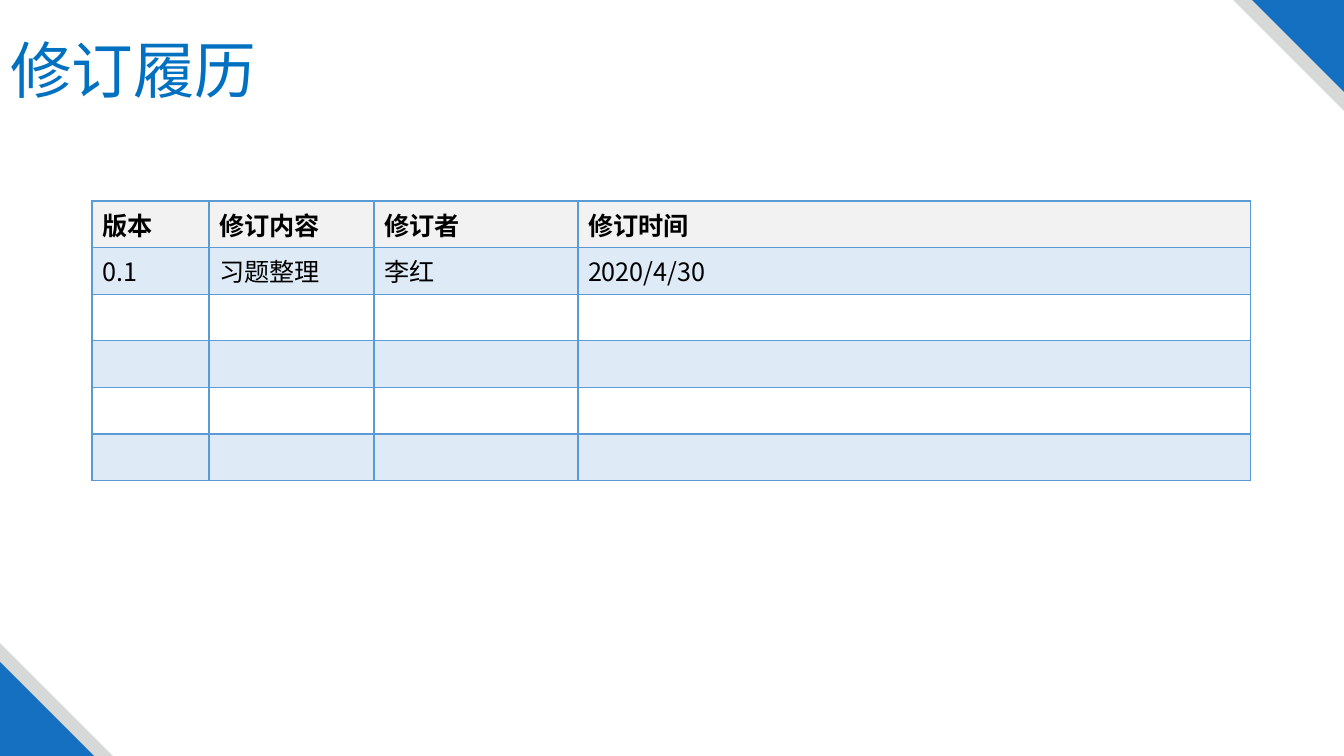
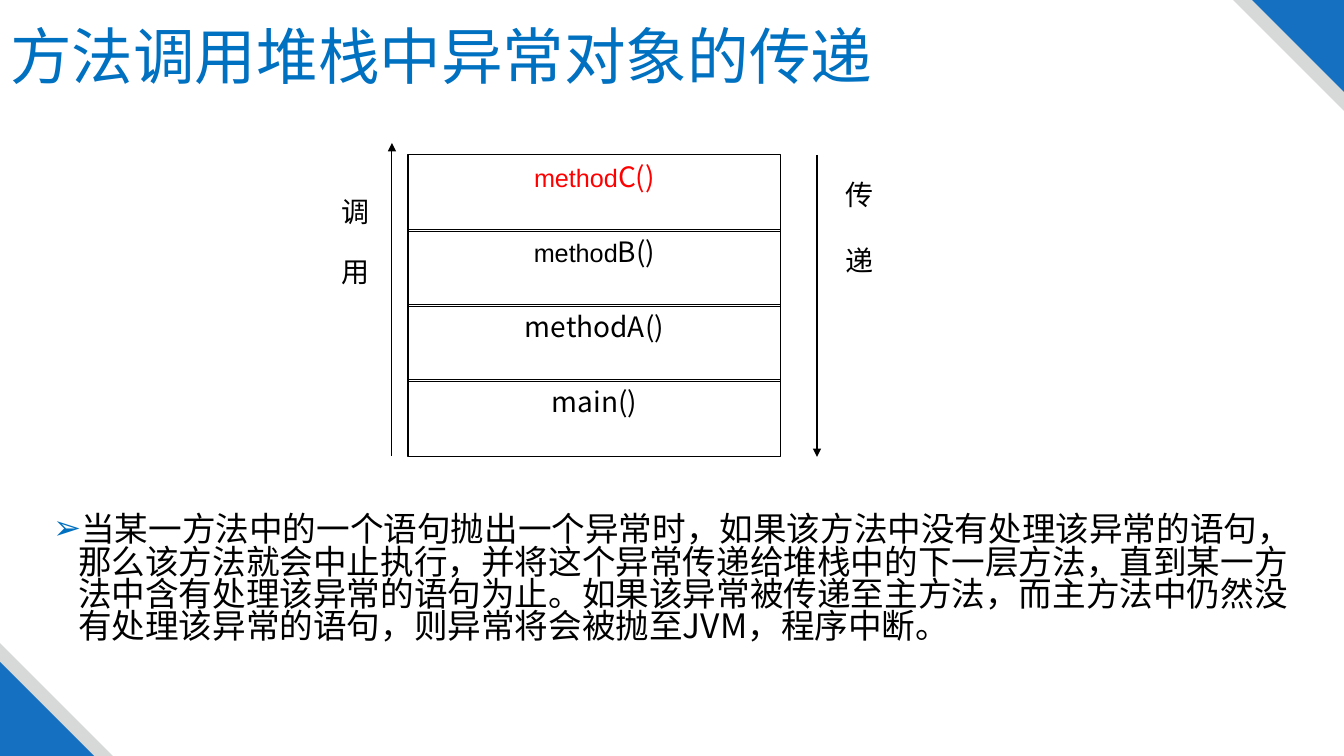
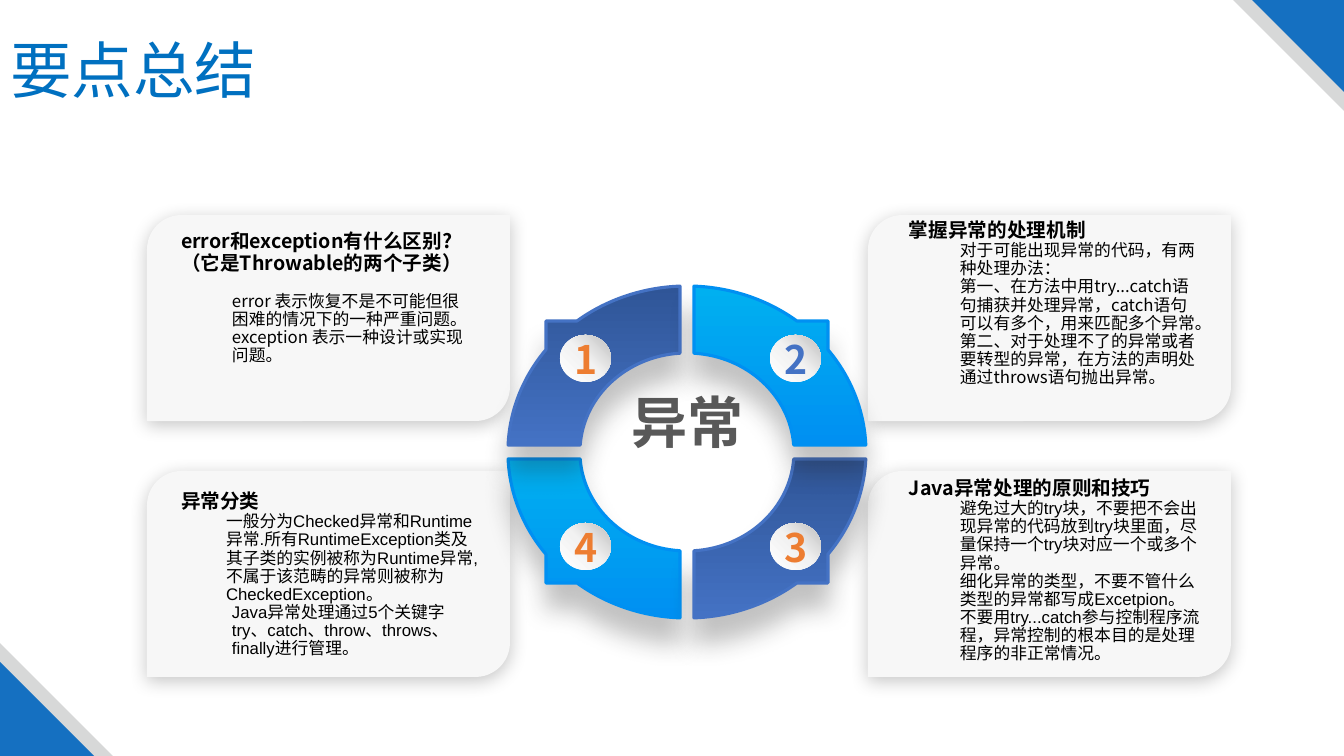
import math
from dataclasses import dataclass

from lxml import etree
from pptx import Presentation, util as u
from pptx.dml.color import RGBColor
from pptx.enum import shapes, text
from pptx.oxml.ns import qn

SLIDE_WIDTH, SLIDE_HEIGHT = 1344, 756
EMU_PER_PX = 12192000 / SLIDE_WIDTH
CJK, LATIN = "Noto Sans CJK SC", "Arial"
COLORS = {
    "title": "0070C0", "corner": "1570C1", "corner_edge": "D7D8D8",
    "black": "000000", "red": "FF0000", "white": "FFFFFF",
    "grid": "5B9BD5", "header": "F2F2F2", "band": "DEEBF7",
    "card": "F7F7F7", "hub": "595959", "shade": "262626",
    "orange": "ED7D31", "blue": "4472C4", "navy": "2F5597",
    "sky": "00B0F0", "azure": "0090F2", "pale": "F2F2F2", "silver": "BFBFBF",
}


@dataclass(frozen=True)
class Box:
    left: int
    top: int
    width: int
    height: int

    def emu(self) -> tuple:
        return tuple(px(v) for v in (self.left, self.top, self.width, self.height))


@dataclass(frozen=True)
class Span:
    words: str
    size: int = 20
    font: str = CJK


@dataclass(frozen=True)
class Frame:
    spans: tuple
    color: str = "black"


@dataclass(frozen=True)
class Card:
    column: int
    row: int
    text_top: int
    text_height: int
    heading: str
    points: tuple
    font: str = CJK
    first_indent: int = 51
    gap: int = 0


@dataclass(frozen=True)
class Segment:
    number: str
    side: int
    level: int
    start: str
    end: str
    number_color: str = "orange"


@dataclass(frozen=True)
class Arc:
    """Part of an ellipse around the origin, between two angles in radians."""
    radius_x: int
    radius_y: int
    start: float
    end: float

    def point(self, angle: float) -> tuple:
        return self.radius_x * math.cos(angle), self.radius_y * math.sin(angle)

    def handle(self, angle: float, sign: int) -> tuple:
        """Control point of the cubic curve beside the given end."""
        reach = sign * 4 / 3 * math.tan((self.end - self.start) / 4)
        x, y = self.point(angle)
        return (x - reach * self.radius_x * math.sin(angle),
                y + reach * self.radius_y * math.cos(angle))

    def curve(self) -> tuple:
        return self.handle(self.start, 1), self.handle(self.end, -1), self.point(self.end)


def px(value: float) -> u.Emu:
    return u.Emu(round(value * EMU_PER_PX))


def rgb(name: str) -> RGBColor:
    return RGBColor.from_string(COLORS[name])


def node(parent, tag: str, **attributes):
    return etree.SubElement(parent, qn(tag), attributes)


def color_node(parent, name: str):
    return node(parent, "a:srgbClr", val=COLORS[name])


def first(shape, tag: str):
    return next(shape.element.iter(qn(tag)))


def style(font, size: int, color: str = "black", bold: bool = False, name: str = CJK) -> None:
    font.size, font.bold, font.name = u.Pt(size), bold, name
    font.color.rgb = rgb(color)


def set_insets(frame, side: int, end: int) -> None:
    frame.margin_left = frame.margin_right = px(side)
    frame.margin_top = frame.margin_bottom = px(end)


def place(shape, box: Box) -> None:
    shape.left, shape.top, shape.width, shape.height = box.emu()


def add_preset(slide, preset, box: Box, fill: str = ""):
    shape = slide.shapes.add_shape(preset, *box.emu())
    shape.shadow.inherit = False
    shape.line.fill.background()
    if fill:
        shape.fill.solid()
        shape.fill.fore_color.rgb = rgb(fill)
    else:
        shape.fill.background()
    return shape


def add_text(slide, box: Box, side: int = 0, end: int = 0):
    shape = slide.shapes.add_textbox(*box.emu())
    shape.text_frame.word_wrap = True
    set_insets(shape.text_frame, side, end)
    return shape


def add_label(slide, box: Box, words: str, size: int, color: str) -> None:
    para = add_text(slide, box).text_frame.paragraphs[0]
    para.text, para.alignment = words, text.PP_ALIGN.CENTER
    style(para.font, size, color, True)


def set_shadow(shape, color: str, opacity: int, blur: int, distance: int) -> None:
    """Cast a shadow straight down; opacity in percent, lengths in points."""
    shape.shadow.inherit = False
    shadow = node(first(shape, "a:effectLst"), "a:outerShdw", blurRad=str(u.Pt(blur)),
                  dist=str(u.Pt(distance)), dir="5400000", algn="t", rotWithShape="0")
    node(color_node(shadow, color), "a:alpha", val=str(opacity * 1000))


def set_gradient(shape, stops: tuple, angle: int) -> None:
    shape.fill.gradient()
    stop_list = first(shape, "a:gsLst")
    for old in list(stop_list):
        stop_list.remove(old)
    for position, color in stops:
        color_node(node(stop_list, "a:gs", pos=str(position * 1000)), color)
    first(shape, "a:lin").set("ang", str(angle * 60000))


def add_arrow(slide, x: int, start: int, end: int) -> None:
    line = slide.shapes.add_connector(shapes.MSO_CONNECTOR.STRAIGHT,
                                      px(x), px(start), px(x), px(end))
    line.line.color.rgb, line.line.width = rgb("black"), u.Pt(0.75)
    node(first(line, "a:ln"), "a:tailEnd", type="triangle")
    node(first(line, "p:spPr"), "a:effectLst")


def add_corners(deck, slide) -> None:
    """Draw the corner triangles and hand them to the slide master."""
    corners = (("corner_edge", 111, 113), ("corner", 92, 94))
    for index, (color, top_size, bottom_size) in enumerate(corners):
        upper = Box(SLIDE_WIDTH - top_size, 0, top_size, top_size)
        lower = Box(0, SLIDE_HEIGHT - bottom_size, bottom_size, bottom_size)
        for turn, box in enumerate((lower, upper)):
            shape = add_preset(slide, shapes.MSO_SHAPE.RIGHT_TRIANGLE, box, color)
            shape.rotation = 180 * turn
            first(shape, "p:cNvPr").set("id", str(100 + 2 * index + turn))
            deck.slide_master.shapes.element.append(shape.element)


def add_slide(deck, layout: int, title: str, box: Box = Box(0, 0, 1159, 148)):
    slide = deck.slides.add_slide(deck.slide_layouts[layout])
    place(slide.shapes.title, box)
    frame = slide.shapes.title.text_frame
    frame.text, frame.vertical_anchor = title, text.MSO_ANCHOR.MIDDLE
    frame.auto_size = text.MSO_AUTO_SIZE.NONE
    para = frame.paragraphs[0]
    para.alignment, para.line_spacing = text.PP_ALIGN.LEFT, 0.9
    style(para.font, 44, "title")
    return slide


def add_borders(cell) -> None:
    properties = cell._tc.get_or_add_tcPr()
    for side in "LRTB":
        line = node(properties, f"a:ln{side}", w=str(u.Pt(1)))
        color_node(node(line, "a:solidFill"), "grid")


def build_history(deck) -> None:
    slide = add_slide(deck, 5, "修订履历")
    add_corners(deck, slide)
    rows = (("版本", "修订内容", "修订者", "修订时间"),
            ("0.1", "习题整理", "李红", "2020/4/30"))
    widths = (117, 165, 204, 673)
    row_count = 6
    table = slide.shapes.add_table(row_count, len(widths),
                                   *Box(92, 201, sum(widths), 279).emu()).table
    table.first_row = table.horz_banding = False
    for column, width in zip(table.columns, widths):
        column.width = px(width)
    for r in range(row_count):
        fill = "header" if r == 0 else "band" if r % 2 else "white"
        for c in range(len(widths)):
            cell = table.cell(r, c)
            add_borders(cell)
            cell.fill.solid()
            cell.fill.fore_color.rgb = rgb(fill)
            para = cell.text_frame.paragraphs[0]
            if r < len(rows):
                para.text = rows[r][c]
            style(para.font, 18, bold=r == 0)


def add_vertical_word(slide, box: Box, word: str, gap: int) -> None:
    """Write a word downwards with a gap, in points, after each character."""
    shape = add_text(slide, box, 9, 5)
    para = shape.text_frame.paragraphs[0]
    para.text = word
    style(para.font, 20)
    first(shape, "a:bodyPr").set("vert", "eaVert")
    first(shape, "a:defRPr").set("spc", str(gap * 100))


def add_stack_frame(slide, box: Box, frame: Frame) -> None:
    shape = add_preset(slide, shapes.MSO_SHAPE.RECTANGLE, box)
    shape.line.color.rgb, shape.line.width = rgb("black"), u.Pt(0.75)
    set_insets(shape.text_frame, 9, 5)
    shape.text_frame.vertical_anchor = text.MSO_ANCHOR.TOP
    para = shape.text_frame.paragraphs[0]
    para.alignment = text.PP_ALIGN.CENTER
    for span in frame.spans:
        run = para.add_run()
        run.text = span.words
        style(run.font, span.size, frame.color, name=span.font)


def build_stack(deck) -> None:
    slide = add_slide(deck, 1, "方法调用堆栈中异常对象的传递", Box(0, 8, 1003, 103))
    body = slide.placeholders[1]
    place(body, Box(43, 511, 1255, 170))
    body.text_frame.auto_size = text.MSO_AUTO_SIZE.NONE
    para = body.text_frame.paragraphs[0]
    para.text = ("当某一方法中的一个语句抛出一个异常时，如果该方法中没有处理该异常的语句，"
                 "那么该方法就会中止执行，并将这个异常传递给堆栈中的下一层方法，"
                 "直到某一方法中含有处理该异常的语句为止。如果该异常被传递至主方法，"
                 "而主方法中仍然没有处理该异常的语句，则异常将会被抛至JVM，程序中断。")
    para.line_spacing, para.space_before = 0.8, u.Pt(10)
    style(para.font, 24)
    properties = first(body, "a:pPr")
    properties.set("marL", str(px(25)))
    properties.set("indent", str(px(-25)))
    bullet_color = etree.Element(qn("a:buClr"))
    color_node(bullet_color, "title")
    bullet = etree.Element(qn("a:buChar"), {"char": "➢"})
    for item in (bullet_color, bullet):
        first(body, "a:defRPr").addprevious(item)

    method = Span("method", 18, LATIN)
    frames = (Frame((method, Span("C()")), "red"), Frame((method, Span("B()"))),
              Frame((Span("methodA()"),)), Frame((Span("main()"),)))
    for index, frame in reversed(list(enumerate(frames))):
        add_stack_frame(slide, Box(408, 155 + 75 * index, 373, 77), frame)
    add_arrow(slide, 392, 456, 143)
    add_vertical_word(slide, Box(212, 193, 168, 234), "调用", 23)
    add_arrow(slide, 817, 155, 457)
    add_vertical_word(slide, Box(816, 176, 68, 238), "传递", 27)


CARDS = (
    Card(0, 0, 232, 155, "error和exception有什么区别? （它是Throwable的两个子类）",
         ("error 表示恢复不是不可能但很困难的情况下的一种严重问题。",
          "exception 表示一种设计或实现问题。"), gap=13),
    Card(1, 0, 221, 187, "掌握异常的处理机制",
         ("对于可能出现异常的代码，有两种处理办法：",
          "第一、在方法中用try...catch语句捕获并处理异常，catch语句可以有多个，用来匹配多个异常。",
          "第二、对于处理不了的异常或者要转型的异常，在方法的声明处通过throws语句抛出异常。")),
    Card(0, 1, 492, 168, "异常分类",
         ("一般分为Checked异常和Runtime异常.所有RuntimeException类及其子类的实例"
          "被称为Runtime异常,不属于该范畴的异常则被称为CheckedException。",
          "Java异常处理通过5个关键字try、catch、throw、throws、finally进行管理。"),
         LATIN, 45),
    Card(1, 1, 479, 187, "Java异常处理的原则和技巧",
         ("避免过大的try块，不要把不会出现异常的代码放到try块里面，"
          "尽量保持一个try块对应一个或多个异常。",
          "细化异常的类型，不要不管什么类型的异常都写成Excetpion。",
          "不要用try...catch参与控制程序流程，异常控制的根本目的是处理程序的非正常情况。"),
         LATIN),
)
SEGMENTS = (
    Segment("4", -1, 1, "sky", "azure"),
    Segment("1", -1, -1, "navy", "blue"),
    Segment("3", 1, 1, "navy", "blue"),
    Segment("2", 1, -1, "sky", "azure", "blue"),
)
CENTER_X, CENTER_Y = 687, 452


def add_card_text(slide, card: Card) -> None:
    box = Box((181, 909)[card.column], card.text_top, 293, card.text_height)
    shape = add_text(slide, box)
    frame = shape.text_frame
    heading = frame.paragraphs[0]
    heading.text, heading.line_spacing = card.heading, 0.9
    style(heading.font, 14, bold=True)
    for index, point in enumerate(card.points):
        para = frame.add_paragraph()
        para.text, para.level, para.line_spacing = point, 1, 0.9
        if index == 0 and card.gap:
            para.space_before = u.Pt(card.gap)
        style(para.font, 12, name=card.font)
    indents = (0, card.first_indent) + (51,) * (len(card.points) - 1)
    for properties, indent in zip(shape.element.iter(qn("a:pPr")), indents):
        properties.set("marL", str(px(indent)))
        properties.set("indent", "0")


def segment_steps() -> list:
    """Steps around one ring quarter with its square tab: one point or a cubic curve."""
    outer, inner = (179, 166), (107, 99)
    tab_x, tab_y, gap = 141, 131, 7
    side = Arc(*outer, math.asin(gap / outer[1]), math.acos(tab_x / outer[0]))
    cap = Arc(*outer, math.asin(tab_y / outer[1]), math.acos(gap / outer[0]))
    hole = Arc(*inner, math.acos(gap / inner[0]), math.asin(gap / inner[1]))
    return [(side.point(side.start),), side.curve(), ((tab_x, tab_y),),
            (cap.point(cap.start),), cap.curve(), (hole.point(hole.start),), hole.curve()]


def add_segment(slide, segment: Segment) -> None:
    steps = [[(px(CENTER_X + segment.side * x), px(CENTER_Y + segment.level * y))
              for x, y in step] for step in segment_steps()]
    builder = slide.shapes.build_freeform(*steps[0][-1])
    builder.add_line_segments([step[-1] for step in steps[1:]])
    shape = builder.convert_to_shape()
    lines = list(shape.element.iter(qn("a:lnTo")))
    for line, step in zip(lines, steps[1:]):
        if len(step) == 3:
            curve = etree.Element(qn("a:cubicBezTo"))
            for x, y in step:
                node(curve, "a:pt", x=str(x - shape.left), y=str(y - shape.top))
            line.getparent().replace(line, curve)
    set_gradient(shape, ((0, segment.start), (100, segment.end)), 90)
    shape.line.color.rgb, shape.line.width = rgb(segment.end), u.Pt(2.25)
    set_shadow(shape, "shade", 28, 18, 18)


def add_badge(slide, segment: Segment) -> None:
    x, y = CENTER_X + 3 + 105 * segment.side, CENTER_Y + 94 * segment.level
    disc = add_preset(slide, shapes.MSO_SHAPE.OVAL, Box(x - 25, y - 23, 51, 47))
    set_gradient(disc, ((0, "white"), (51, "pale"), (100, "silver")), 315)
    add_label(slide, Box(x - 14, y - 23, 30, 47), segment.number, 28, segment.number_color)


def build_summary(deck) -> None:
    slide = add_slide(deck, 5, "要点总结")
    for card in CARDS:
        box = Box(147 + 721 * card.column, 215 + 256 * card.row, 363, 206)
        shape = add_preset(slide, shapes.MSO_SHAPE.ROUND_2_DIAG_RECTANGLE, box, "card")
        set_shadow(shape, "black", 22, 13, 3)
    add_label(slide, Box(620, 388, 134, 67), "异常", 40, "hub")
    for card in CARDS:
        add_card_text(slide, card)
    for segment in SEGMENTS:
        add_segment(slide, segment)
    for segment in SEGMENTS:
        add_badge(slide, segment)


def set_east_asian_font(deck) -> None:
    for slide in deck.slides:
        for latin in list(slide.element.iter(qn("a:latin"))):
            latin.addnext(etree.Element(qn("a:ea"), {"typeface": CJK}))


def main() -> None:
    deck = Presentation()
    deck.slide_width, deck.slide_height = px(SLIDE_WIDTH), px(SLIDE_HEIGHT)
    build_history(deck)
    build_stack(deck)
    build_summary(deck)
    set_east_asian_font(deck)
    deck.save("out.pptx")


if __name__ == "__main__":
    main()
